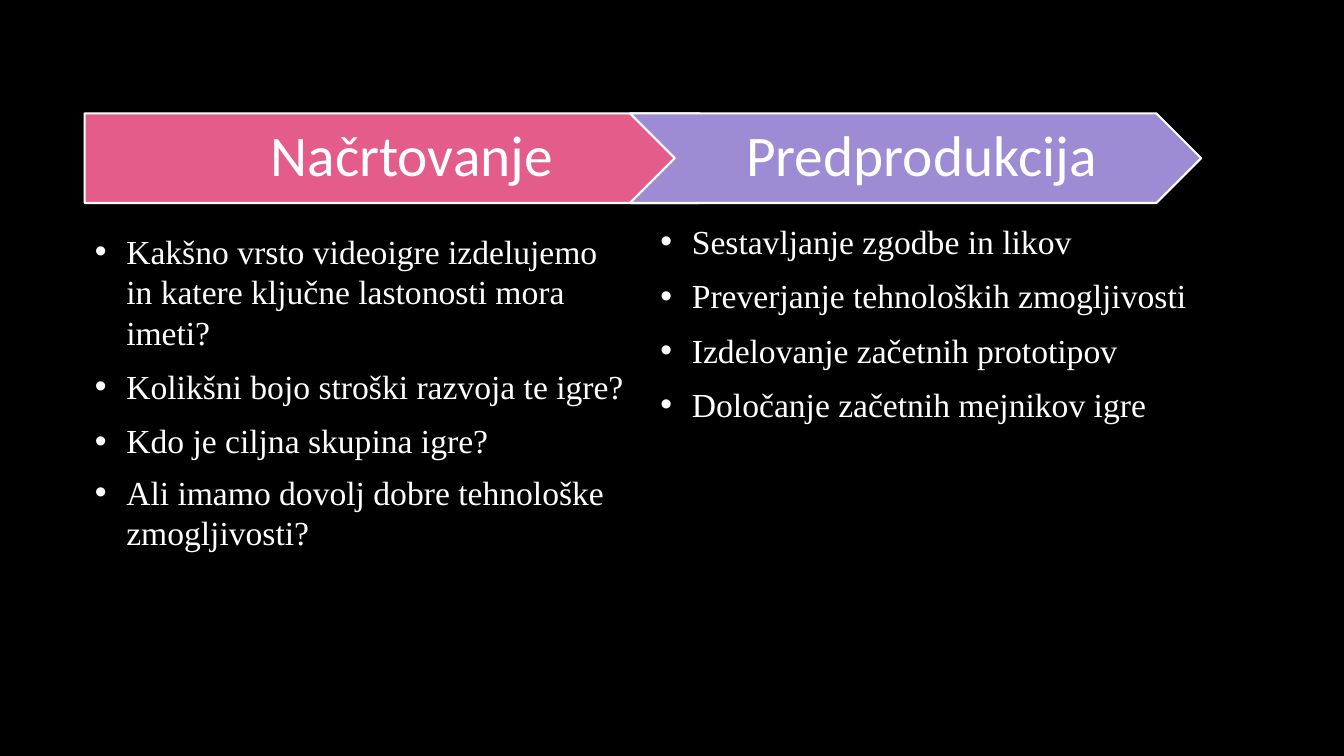
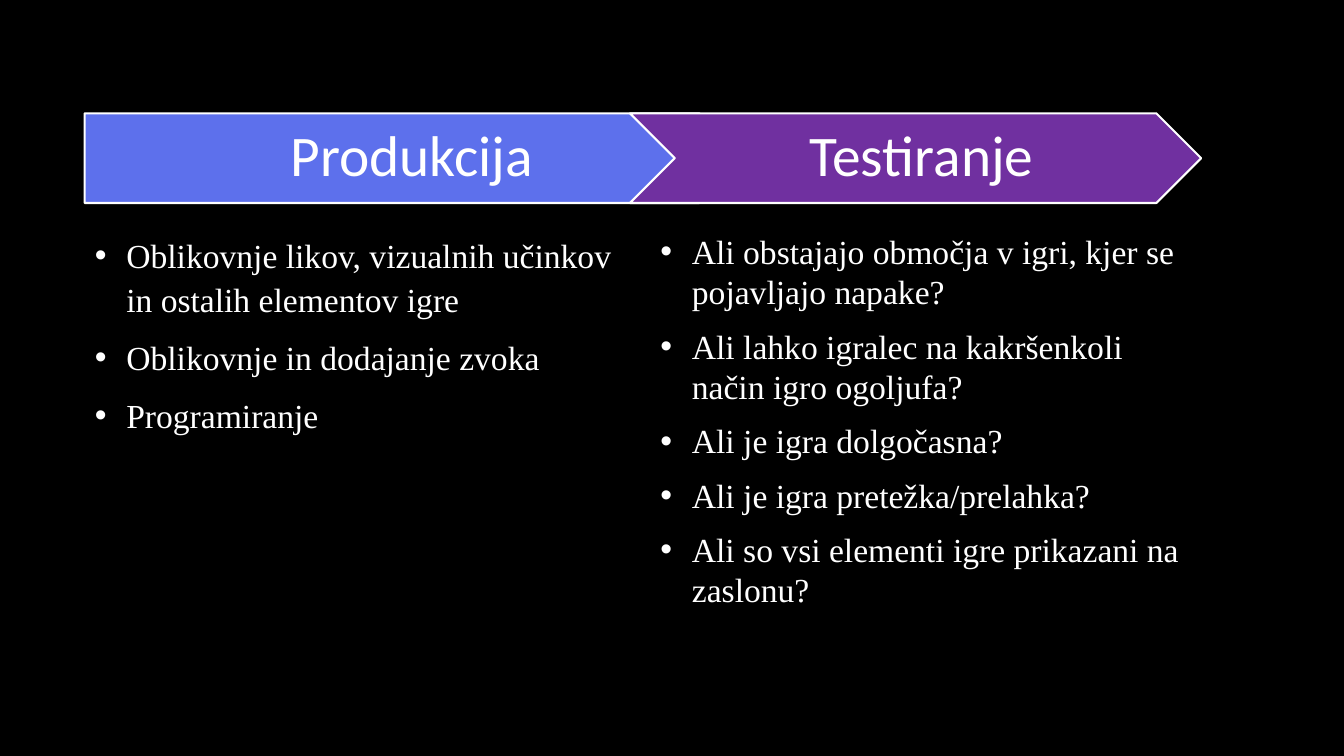
from dataclasses import dataclass

from lxml import etree
from pptx import Presentation
from pptx.dml.color import RGBColor
from pptx.enum.shapes import MSO_SHAPE
from pptx.enum.text import MSO_ANCHOR, MSO_AUTO_SIZE, PP_ALIGN
from pptx.oxml.ns import qn
from pptx.util import Pt

PENTAGON, CHEVRON = MSO_SHAPE.PENTAGON, MSO_SHAPE.CHEVRON
CENTER, MIDDLE, TOP = PP_ALIGN.CENTER, MSO_ANCHOR.MIDDLE, MSO_ANCHOR.TOP
NO_AUTOFIT = MSO_AUTO_SIZE.NONE
TWO_CONTENT = 3

COLORS = {
    "background": "000000",
    "text": "FFFFFF",
    "planning": "E45C8A",
    "preproduction": "9D8CD3",
    "production": "5D70EC",
    "testing": "7030A0",
}
HEADING_FONT, LIST_FONT = "Calibri", "Times New Roman"
HEADING_SIZE, LIST_SIZE = 41, 24
INDENT = 22.5
NORMAL_GAP, TIGHT_GAP = 10, 8

BAND_TOP, BAND_HEIGHT = 81, 64
ARROWS = (
    (PENTAGON, (60.5, BAND_TOP, 471, BAND_HEIGHT), 17),
    (CHEVRON, (450, BAND_TOP, 408, BAND_HEIGHT), 13),
)
LIST_LEFTS, LIST_WIDTH, LIST_BOTTOM = (60.5, 464.5), 394, 470


@dataclass
class Stage:
    heading: str
    color: str
    points: tuple
    list_top: float = 161.4
    line_pitch: float = 28.8
    tight_from: int = 99


SLIDES = (
    (
        Stage("Načrtovanje", "planning", (
            "Kakšno vrsto videoigre izdelujemo in katere ključne lastonosti mora imeti?",
            "Kolikšni bojo stroški razvoja te igre?",
            "Kdo je ciljna skupina igre?",
            "Ali imamo dovolj dobre tehnološke zmogljivosti?",
        ), tight_from=2),
        Stage("Predprodukcija", "preproduction", (
            "Sestavljanje zgodbe in likov",
            "Preverjanje tehnoloških zmogljivosti",
            "Izdelovanje začetnih prototipov",
            "Določanje začetnih mejnikov igre",
        ), list_top=154.2),
    ),
    (
        Stage("Produkcija", "production", (
            "Oblikovnje likov, vizualnih učinkov in ostalih elementov igre",
            "Oblikovnje in dodajanje zvoka",
            "Programiranje",
        ), line_pitch=31.5),
        Stage("Testiranje", "testing", (
            "Ali obstajajo območja v igri, kjer se pojavljajo napake?",
            "Ali lahko igralec na kakršenkoli način igro ogoljufa?",
            "Ali je igra dolgočasna?",
            "Ali je igra pretežka/prelahka?",
            "Ali so vsi elementi igre prikazani na zaslonu?",
        ), tight_from=4),
    ),
)


def rgb(name):
    return RGBColor.from_string(COLORS[name])


def add_run(paragraph, text, font, size):
    run = paragraph.add_run()
    run.text = text
    run.font.name = font
    run.font.size = Pt(size)
    run.font.color.rgb = rgb("text")


def add_bullet(paragraph):
    properties = paragraph._p.get_or_add_pPr()
    properties.set("marL", str(Pt(INDENT)))
    properties.set("indent", str(-Pt(INDENT)))
    color = etree.SubElement(properties, qn("a:buClr"))
    etree.SubElement(color, qn("a:srgbClr"), val=COLORS["text"])
    etree.SubElement(properties, qn("a:buFont"), typeface="Arial")
    etree.SubElement(properties, qn("a:buChar"), char="•")


def fill_list(body, stage, box):
    body.left, body.top, body.width, body.height = map(Pt, box)
    frame = body.text_frame
    frame.word_wrap = True
    frame.auto_size = NO_AUTOFIT
    frame.vertical_anchor = TOP
    for index, point in enumerate(stage.points):
        paragraph = frame.add_paragraph() if index else frame.paragraphs[0]
        paragraph.line_spacing = Pt(stage.line_pitch)
        paragraph.space_before = Pt(0)
        paragraph.space_after = Pt(TIGHT_GAP if index >= stage.tight_from else NORMAL_GAP)
        add_bullet(paragraph)
        add_run(paragraph, point, LIST_FONT, LIST_SIZE)


def add_arrow(slide, stage, preset, box, inset):
    arrow = slide.shapes.add_shape(preset, *map(Pt, box))
    arrow.shadow.inherit = False
    arrow.fill.solid()
    arrow.fill.fore_color.rgb = rgb(stage.color)
    arrow.line.color.rgb = rgb("text")
    arrow.line.width = Pt(1.5)
    frame = arrow.text_frame
    frame.word_wrap = True
    frame.vertical_anchor = MIDDLE
    frame.margin_left, frame.margin_right = Pt(inset), Pt(4.3)
    frame.margin_top = frame.margin_bottom = Pt(8.6)
    paragraph = frame.paragraphs[0]
    paragraph.alignment = CENTER
    paragraph.line_spacing = 0.9
    add_run(paragraph, stage.heading, HEADING_FONT, HEADING_SIZE)


def add_stage_slide(prs, stages):
    slide = prs.slides.add_slide(prs.slide_layouts[TWO_CONTENT])
    title, *bodies = slide.placeholders
    title.element.getparent().remove(title.element)
    for body, stage, left in zip(bodies, stages, LIST_LEFTS):
        box = (left, stage.list_top, LIST_WIDTH, LIST_BOTTOM - stage.list_top)
        fill_list(body, stage, box)
    for stage, (preset, box, inset) in zip(stages, ARROWS):
        add_arrow(slide, stage, preset, box, inset)


def main():
    prs = Presentation()
    prs.slide_width, prs.slide_height = Pt(960), Pt(540)
    backdrop = prs.slide_master.background.fill
    backdrop.solid()
    backdrop.fore_color.rgb = rgb("background")
    for stages in SLIDES:
        add_stage_slide(prs, stages)
    prs.save("out.pptx")


if __name__ == "__main__":
    main()
